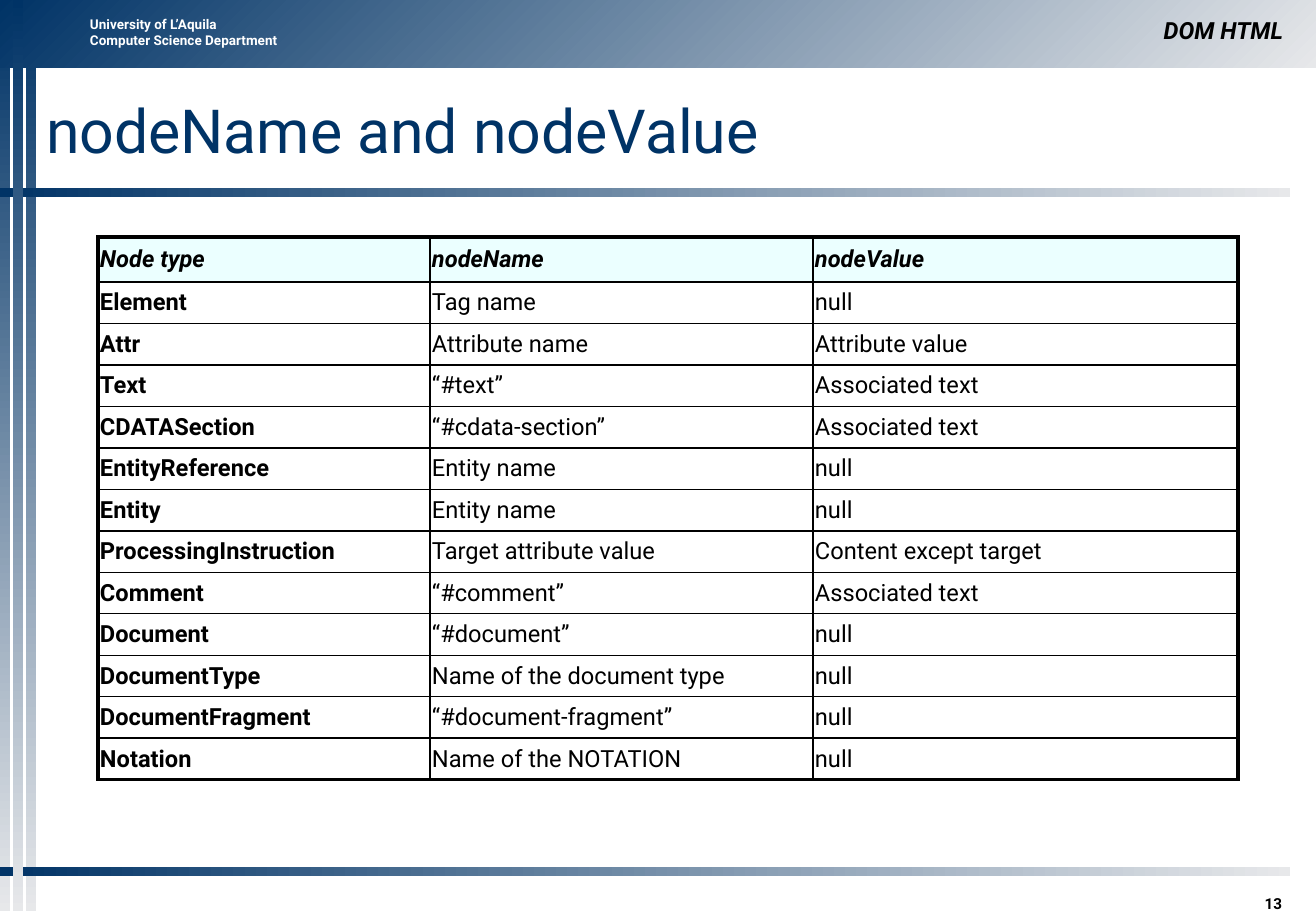
from lxml import etree
from pptx import Presentation
from pptx.dml.color import RGBColor
from pptx.enum.shapes import MSO_SHAPE
from pptx.enum.text import MSO_ANCHOR, MSO_AUTO_SIZE, PP_ALIGN
from pptx.oxml.ns import qn
from pptx.util import Pt

RECTANGLE = MSO_SHAPE.RECTANGLE
TOP, MIDDLE, BOTTOM = MSO_ANCHOR.TOP, MSO_ANCHOR.MIDDLE, MSO_ANCHOR.BOTTOM
LEFT, RIGHT = PP_ALIGN.LEFT, PP_ALIGN.RIGHT
NO_AUTOFIT = MSO_AUTO_SIZE.NONE

# Content
TITLE = "nodeName and nodeValue"
DEPARTMENT = "University of L’Aquila\nComputer Science Department"
NODE_ROWS = [
    ("Node type", "nodeName", "nodeValue"),
    ("Element", "Tag name", "null"),
    ("Attr", "Attribute name", "Attribute value"),
    ("Text", "“#text”", "Associated text"),
    ("CDATASection", "“#cdata-section”", "Associated text"),
    ("EntityReference", "Entity name", "null"),
    ("Entity", "Entity name", "null"),
    ("ProcessingInstruction", "Target attribute value", "Content except target"),
    ("Comment", "“#comment”", "Associated text"),
    ("Document", "“#document”", "null"),
    ("DocumentType", "Name of the document type", "null"),
    ("DocumentFragment", "“#document-fragment”", "null"),
    ("Notation", "Name of the NOTATION", "null"),
]

# Look
FONT = "Roboto"
NAVY, PALE, BLACK, WHITE, HEADER_FILL = "003366", "E7E8EA", "000000", "FFFFFF", "EBFFFF"
THIN, THICK = 1, 2.25

# Layout in px: left, top, width, height, gradient angle
SLIDE_W, SLIDE_H = 1316, 911
BAR = 10
BANDS = [
    (0, 0, BAR, SLIDE_H, 90),
    (26, 0, BAR, SLIDE_H, 90),
    (0, 0, SLIDE_W, 68, 45),
    (0, 188, 1290, 9, 0),
    (0, 867, 1290, 9, 0),
    (13, 0, BAR, SLIDE_H, 90),
]
# Text, box, size, colour, italic, alignment, anchor
LABELS = [
    (DEPARTMENT, (78, 10, 244, 45), 8, WHITE, False, LEFT, TOP),
    ("DOM HTML", (658, 10, 637, 40), 14, BLACK, True, RIGHT, BOTTOM),
    ("13", (1151, 877, 143, 36), 9, BLACK, False, RIGHT, BOTTOM),
]
TABLE_LEFT, TABLE_TOP, TABLE_H = 98, 237, 543
COLUMN_WIDTHS = (332, 383, 425)
HEADER_H = 45
CELL_MARGIN = 2


def px(length):
    return round(length * 914400 / 121.5)


def rgb(color):
    return RGBColor.from_string(color)


def style(frame, size, color, bold=False, italic=False, align=LEFT):
    for paragraph in frame.paragraphs:
        paragraph.alignment = align
        for run in paragraph.runs:
            font = run.font
            font.name, font.size = FONT, Pt(size)
            font.bold, font.italic = bold, italic
            font.color.rgb = rgb(color)


def add_border(cell, side, width):
    line = etree.SubElement(cell._tc.get_or_add_tcPr(), qn("a:ln" + side), w=str(Pt(width)))
    fill = etree.SubElement(line, qn("a:solidFill"))
    etree.SubElement(fill, qn("a:srgbClr"), val=BLACK)


prs = Presentation()
prs.slide_width, prs.slide_height = px(SLIDE_W), px(SLIDE_H)
slide = prs.slides.add_slide(prs.slide_layouts[5])

# Gradient bands
for *box, angle in BANDS:
    band = slide.shapes.add_shape(RECTANGLE, *map(px, box))
    band.shadow.inherit = False
    band.line.fill.background()
    band.fill.gradient()
    band.fill.gradient_angle = (360 - angle) % 360
    for stop, color in zip(band.fill.gradient_stops, (NAVY, PALE)):
        stop.color.rgb = rgb(color)

# Header and footer labels
for text, box, size, color, italic, align, anchor in LABELS:
    label = slide.shapes.add_textbox(*map(px, box)).text_frame
    label.word_wrap = True
    label.vertical_anchor = anchor
    if text == "13":
        label.margin_bottom = 0
    label.text = text
    style(label, size, color, True, italic, align)

# Title
title = slide.shapes.title
title.left, title.top, title.width, title.height = map(px, (46, 71, 1248, 117))
heading = title.text_frame
heading.margin_left = heading.margin_right = heading.margin_top = heading.margin_bottom = 0
heading.auto_size = NO_AUTOFIT
heading.vertical_anchor = MIDDLE
heading.text = TITLE
style(heading, 36, NAVY)

# Node table
last_row, last_col = len(NODE_ROWS) - 1, len(COLUMN_WIDTHS) - 1
table = slide.shapes.add_table(
    len(NODE_ROWS), len(COLUMN_WIDTHS),
    px(TABLE_LEFT), px(TABLE_TOP), px(sum(COLUMN_WIDTHS)), px(TABLE_H)).table
table.first_row = table.horz_banding = False
for column, width in zip(table.columns, COLUMN_WIDTHS):
    column.width = px(width)

for r, node in enumerate(NODE_ROWS):
    is_header = r == 0
    table.rows[r].height = px(HEADER_H if is_header else (TABLE_H - HEADER_H) / last_row)
    for c, text in enumerate(node):
        cell = table.cell(r, c)
        cell.text = text
        cell.vertical_anchor = MIDDLE
        cell.margin_left = cell.margin_right = px(CELL_MARGIN)
        cell.margin_top = cell.margin_bottom = px(CELL_MARGIN)
        style(cell.text_frame, 14, BLACK, bold=is_header or c == 0, italic=is_header)
        outer_sides = {"L": c == 0, "R": c == last_col, "T": is_header, "B": r == last_row}
        for side, is_outer in outer_sides.items():
            add_border(cell, side, THICK if is_outer else THIN)
        if is_header:
            cell.fill.solid()
            cell.fill.fore_color.rgb = rgb(HEADER_FILL)
        else:
            cell.fill.background()

prs.save("out.pptx")
